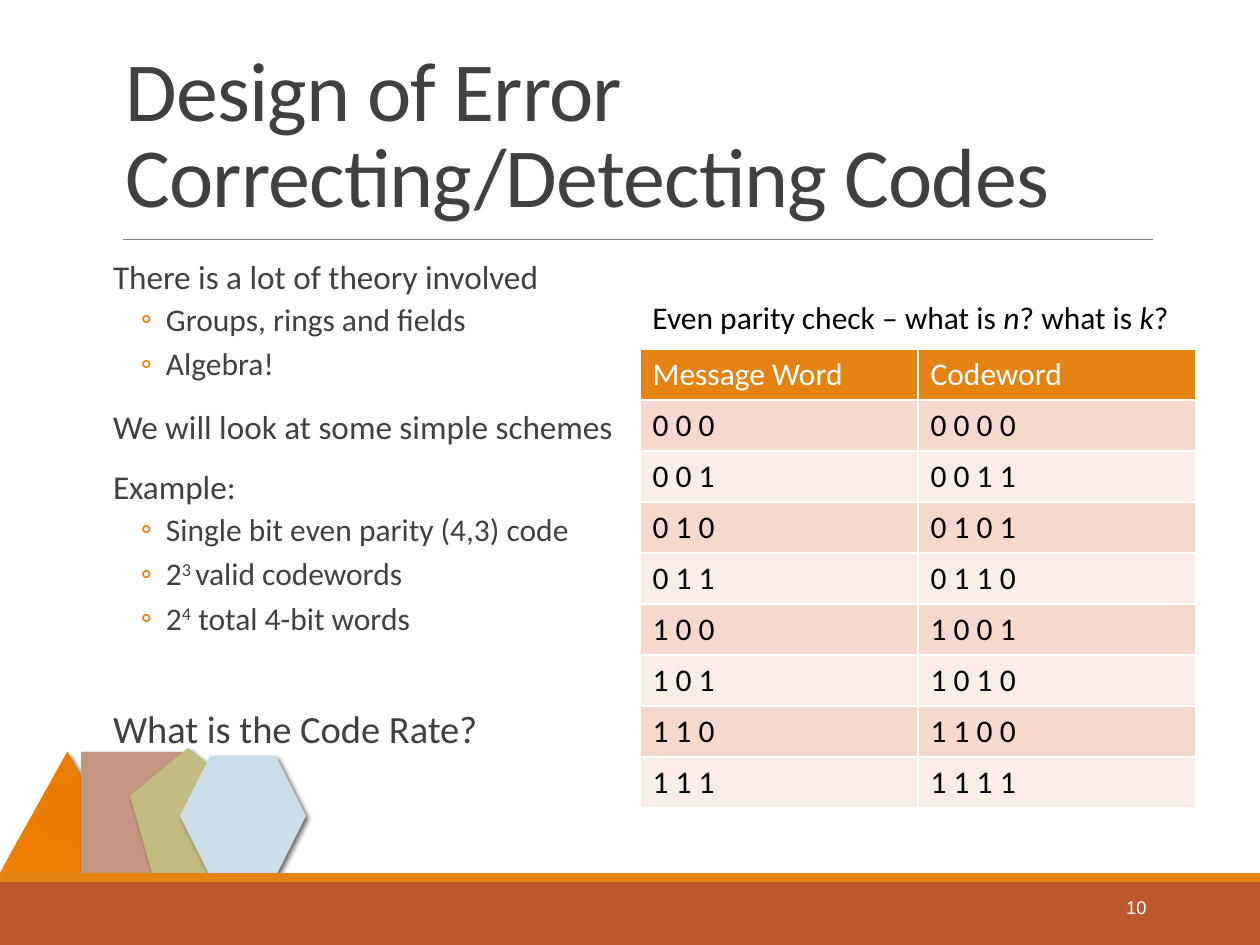
from itertools import product

from lxml.etree import SubElement
from pptx import Presentation
from pptx.dml.color import RGBColor
from pptx.enum.shapes import MSO_CONNECTOR, MSO_SHAPE as SHAPE
from pptx.enum.text import MSO_ANCHOR, MSO_AUTO_SIZE, PP_ALIGN
from pptx.oxml import parse_xml
from pptx.oxml.ns import nsdecls, qn
from pptx.util import Emu, Pt

# Content: a run is (text, style), style being "", "i" or "sup"
TITLE = "Design of Error Correcting/Detecting Codes"
PAGE = "10"
CAPTION = [("Even parity check – what is ", ""), ("n", "i"),
           ("? what is ", ""), ("k", "i"), ("?", "")]
# (level, size, space before, runs)
OUTLINE = [
    (0, 19, 12, [("There is a lot of theory involved", "")]),
    (1, 18, 2, [("Groups, rings and fields", "")]),
    (1, 18, 2, [("Algebra!", "")]),
    (0, 19, 12, [("We will look at some simple schemes", "")]),
    (0, 19, 12, [("Example:", "")]),
    (1, 18, 2, [("Single bit even parity (4,3) code", "")]),
    (1, 18, 2, [("2", ""), ("3 ", "sup"), ("valid codewords", "")]),
    (1, 18, 2, [("2", ""), ("4", "sup"), (" total 4-bit words", "")]),
    (0, 22, 38, [("What is the Code Rate?", "")]),
]
HEADER = ("Message Word", "Codeword")
MESSAGES = list(product((0, 1), repeat=3))

# Colours and decoration, from back to front
ORANGE, RUST, WHITE, BLACK, TEXT = "E48312", "BD582C", "FFFFFF", "000000", "404040"
BANDS = ("F5D9CC", "FAEDE7")
TRIANGLE_STOPS = [(0, "E57B00"), (34, "E87D00"), (70, "EB7E00"), (100, "EF8407")]
# (preset, box, fill, has shadow)
DECORATION = [
    (SHAPE.ISOSCELES_TRIANGLE, (0, 752, 135, 121), TRIANGLE_STOPS, True),
    (SHAPE.RECTANGLE, (81, 752, 110, 121), "C29580", True),
    (SHAPE.RECTANGLE, (0, 882, 1260, 63), RUST, False),
    (SHAPE.REGULAR_PENTAGON, (130, 748, 116, 125), "C2BC80", True),
    (SHAPE.HEXAGON, (180, 756, 126, 120), "CCDDEA", True),
    (SHAPE.RECTANGLE, (0, 873, 1260, 9), ORANGE, False),
]
TABLE_LEFT, TABLE_TOP, COLUMN, ROW = 640, 349, 278, 51


def px(n):
    return Emu(round(n * 914400 / 126))


def box(*lengths):
    return [px(n) for n in lengths]


def colour(hex_string):
    return RGBColor.from_string(hex_string)


def style(font, size, hex_string, name="Calibri"):
    font.size, font.name = Pt(size), name
    font.color.rgb = colour(hex_string)


def write(paragraph, runs, size, hex_string):
    for text, kind in runs:
        run = paragraph.add_run()
        run.text = text
        style(run.font, size, hex_string)
        if kind == "i":
            run.font.italic = True
        elif kind == "sup":
            run.font._element.set("baseline", "30000")


def gradient(shape, stops):
    marks = "".join(f'<a:gs pos="{at * 1000}"><a:srgbClr val="{c}"/></a:gs>'
                    for at, c in stops)
    shape._element.spPr.find(qn("a:prstGeom")).addnext(parse_xml(
        f'<a:gradFill {nsdecls("a")}><a:gsLst>{marks}</a:gsLst><a:path path="circle">'
        '<a:fillToRect l="100000" t="100000" r="100000" b="100000"/>'
        '</a:path></a:gradFill>'))


def drop_shadow(shape):
    effects = shape._element.spPr.find(qn("a:effectLst"))
    effects.append(parse_xml(
        f'<a:outerShdw {nsdecls("a")} blurRad="{Pt(3)}" dist="{Pt(2)}" dir="2700000" '
        'algn="tl" rotWithShape="0"><a:srgbClr val="000000">'
        '<a:alpha val="60000"/></a:srgbClr></a:outerShdw>'))


def add_bullet(paragraph):
    properties = paragraph._p.get_or_add_pPr()
    properties.set("marL", str(px(53)))
    properties.set("indent", str(px(-25)))
    tint = SubElement(properties, qn("a:buClr"))
    SubElement(tint, qn("a:srgbClr")).set("val", ORANGE)
    SubElement(properties, qn("a:buFont")).set("typeface", "Calibri")
    SubElement(properties, qn("a:buChar")).set("char", "◦")


def add_borders(cell):
    properties = cell._tc.get_or_add_tcPr()
    for position, side in enumerate(("lnL", "lnR", "lnT", "lnB")):
        properties.insert(position, parse_xml(
            f'<a:{side} {nsdecls("a")} w="{Pt(1)}"><a:solidFill>'
            f'<a:srgbClr val="{WHITE}"/></a:solidFill></a:{side}>'))


presentation = Presentation()
presentation.slide_width, presentation.slide_height = box(1260, 945)
slide = presentation.slides.add_slide(presentation.slide_layouts[5])
shapes = slide.shapes

# Decoration and footer bars
for preset, place, fill, shadowed in DECORATION:
    ornament = shapes.add_shape(preset, *box(*place))
    ornament.shadow.inherit = False
    ornament.line.fill.background()
    if isinstance(fill, str):
        ornament.fill.solid()
        ornament.fill.fore_color.rgb = colour(fill)
    else:
        gradient(ornament, fill)
    if shadowed:
        drop_shadow(ornament)

# Title and the rule below it
title = shapes.title
title.left, title.top, title.width, title.height = box(113, 39, 1040, 200)
title_frame = title.text_frame
title_frame.text = TITLE
title_frame.auto_size = MSO_AUTO_SIZE.NONE
title_frame.vertical_anchor = MSO_ANCHOR.MIDDLE
heading = title_frame.paragraphs[0]
heading.alignment, heading.line_spacing = PP_ALIGN.LEFT, 0.85
style(heading.runs[0].font, 48, TEXT)
heading.runs[0].font._element.set("spc", "-50")

rule = shapes.add_connector(MSO_CONNECTOR.STRAIGHT, *box(123, 239, 1153, 239))
rule.line.color.rgb, rule.line.width = colour("808080"), Pt(0.5)
SubElement(rule._element.spPr, qn("a:effectLst"))

# Outline
outline = shapes.add_textbox(*box(113, 255, 510, 554)).text_frame
outline.word_wrap = True
outline.margin_left = outline.margin_right = 0
for number, (level, size, before, runs) in enumerate(OUTLINE):
    item = outline.add_paragraph() if number else outline.paragraphs[0]
    item.level, item.line_spacing = level, 0.9
    item.space_before, item.space_after = Pt(before), Pt(4 if level else 2)
    if level:
        add_bullet(item)
    write(item, runs, size, TEXT)

# Parity table: the last bit makes the number of ones even
words = [(m, m + (sum(m) % 2,)) for m in MESSAGES]
rows = [HEADER] + [[" ".join(map(str, word)) for word in pair] for pair in words]
table = shapes.add_table(len(rows), 2, *box(TABLE_LEFT, TABLE_TOP, 2 * COLUMN,
                                            ROW * len(rows))).table
for column in table.columns:
    column.width = px(COLUMN)
for r, texts in enumerate(rows):
    table.rows[r].height = px(ROW)
    for c, text in enumerate(texts):
        cell = table.cell(r, c)
        cell.fill.solid()
        cell.fill.fore_color.rgb = colour(BANDS[(r - 1) % 2] if r else ORANGE)
        add_borders(cell)
        cell.text_frame.text = text
        font = cell.text_frame.paragraphs[0].runs[0].font
        style(font, 18, BLACK if r else WHITE)
        font.bold = False

# Page number and table caption
page = shapes.add_textbox(*box(1023, 890, 136, 50)).text_frame
page.text = PAGE
page.paragraphs[0].alignment = PP_ALIGN.RIGHT
style(page.paragraphs[0].runs[0].font, 10.5, WHITE, "Arial")

caption = shapes.add_textbox(*box(TABLE_LEFT, 292, 548, 50)).text_frame
caption.word_wrap = False
caption.auto_size = MSO_AUTO_SIZE.SHAPE_TO_FIT_TEXT
write(caption.paragraphs[0], CAPTION, 18, BLACK)

presentation.save("out.pptx")
